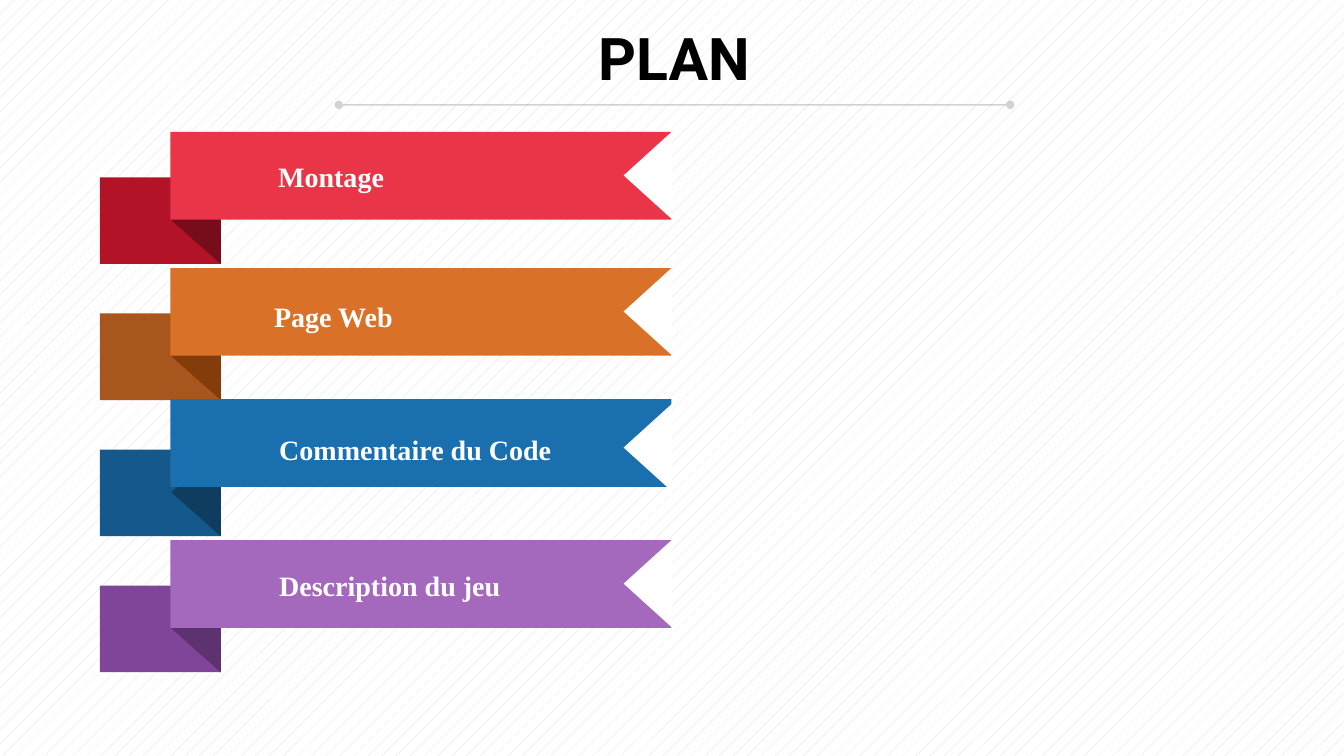
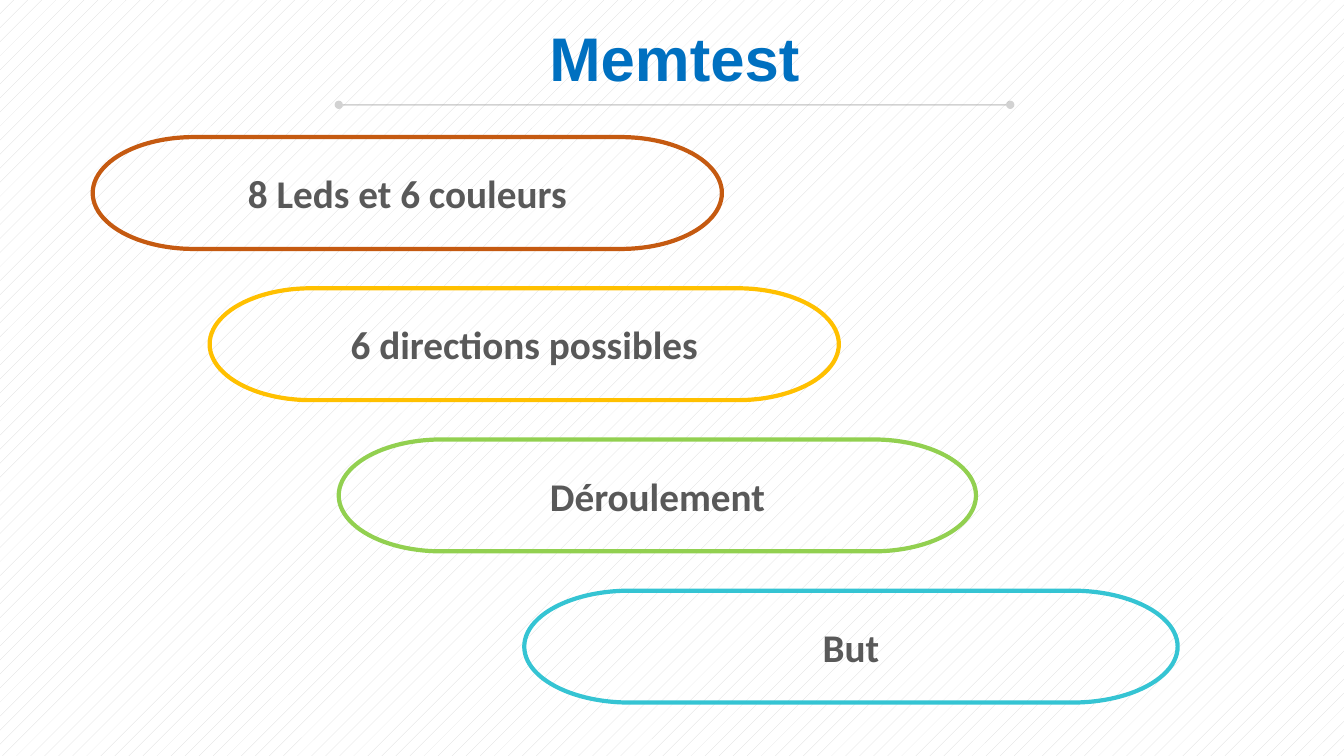
"""Build a plan slide with ribbons and a Memtest slide with stepped pills."""
from dataclasses import dataclass

from lxml.etree import SubElement
from pptx import Presentation
from pptx.dml.color import RGBColor
from pptx.enum.dml import MSO_PATTERN
from pptx.enum.shapes import MSO_CONNECTOR, MSO_SHAPE
from pptx.enum.text import MSO_ANCHOR, PP_ALIGN
from pptx.oxml.ns import qn
from pptx.util import Inches, Pt

WHITE, BLACK, BLUE = "FFFFFF", "000000", "0070C0"
HATCH, RULE, PILL_TEXT = "D9D9D9", "A6A6A6", "595959"
RIBBON_TOP, RIBBON_STEP = 1.76, 1.35
PILL_TOP, PILL_STEP = 1.36, 1.5


@dataclass(frozen=True)
class Title:
    text: str
    font: str
    size: int
    color: str
    left: float
    width: float


@dataclass(frozen=True)
class Ribbon:
    text: str
    band: str
    tail: str
    fold: str
    text_left: float
    text_drop: float
    band_rise: float = 0.45


@dataclass(frozen=True)
class Pill:
    text: str
    outline: str
    left: float
    width: float


PLAN = Title("PLAN", "Roboto", 42, BLACK, 3.48, 6.41)
MEMTEST = Title("Memtest", "Arial", 44, BLUE, 3.04, 7.3)

RIBBONS = [
    Ribbon("Montage", "EA3448", "B31326", "770D1A", 2.66, -0.23),
    Ribbon("Page Web", "D97128", "A8561E", "843C0B", 2.62, -0.19),
    Ribbon("Commentaire du Code", "1A6FAE", "15588B", "0E3D60", 2.67, -0.22, 0.5),
    Ribbon("Description du jeu", "A469BC", "804498", "5D326E", 2.67, -0.22),
]

PILLS = [
    Pill("8 Leds et 6 couleurs", "C55A11", 0.92, 6.24),
    Pill("6 directions possibles", "FFC000", 2.08, 6.24),
    Pill("Déroulement", "92D050", 3.36, 6.32),
    Pill("But", "35C4D3", 5.2, 6.48),
]


def rgb(color: str) -> RGBColor:
    return RGBColor.from_string(color)


def write(frame, text: str, font: str, size: int, color: str, align=PP_ALIGN.LEFT):
    frame.word_wrap = True
    paragraph = frame.paragraphs[0]
    paragraph.alignment = align
    run = paragraph.add_run()
    run.text = text
    run.font.name = font
    run.font.size = Pt(size)
    run.font.bold = True
    run.font.color.rgb = rgb(color)
    return paragraph


def add_solid(shapes, kind, left: float, top: float, width: float, height: float,
              color: str, rotation: float = 0) -> None:
    solid = shapes.add_shape(kind, Inches(left), Inches(top), Inches(width), Inches(height))
    solid.shadow.inherit = False
    solid.fill.solid()
    solid.fill.fore_color.rgb = rgb(color)
    solid.line.fill.background()
    solid.rotation = rotation


def add_rule(shapes) -> None:
    rule = shapes.add_connector(
        MSO_CONNECTOR.STRAIGHT, Inches(3.36), Inches(1.04), Inches(10.02), Inches(1.04))
    rule.line.width = Pt(1)
    rule.line.color.rgb = rgb(RULE)
    properties = rule._element.spPr
    line = properties.find(qn("a:ln"))
    SubElement(line.find(".//" + qn("a:srgbClr")), qn("a:alpha"), val="50000")
    for end in ("a:headEnd", "a:tailEnd"):
        SubElement(line, qn(end), type="oval")
    SubElement(properties, qn("a:effectLst"))


def add_titled_slide(deck, title: Title):
    slide = deck.slides.add_slide(deck.slide_layouts[6])
    backdrop = slide.background.fill
    backdrop.patterned()
    backdrop.pattern = MSO_PATTERN.PERCENT_5
    backdrop.fore_color.rgb = rgb(HATCH)
    backdrop.back_color.rgb = rgb(WHITE)
    heading = slide.shapes.add_textbox(
        Inches(title.left), Inches(0.34), Inches(title.width), Inches(0.54)).text_frame
    heading.vertical_anchor = MSO_ANCHOR.MIDDLE
    paragraph = write(heading, title.text, title.font, title.size, title.color, PP_ALIGN.CENTER)
    paragraph.line_spacing = 0.9
    add_rule(slide.shapes)
    return slide


def add_ribbon(slide, ribbon: Ribbon, top: float) -> None:
    shapes = slide.shapes.add_group_shape().shapes
    triangle = MSO_SHAPE.ISOSCELES_TRIANGLE
    add_solid(shapes, MSO_SHAPE.RECTANGLE, 0.99, top, 1.2, 0.86, ribbon.tail)
    add_solid(shapes, triangle, 1.51, top + 0.18, 0.87, 0.49, ribbon.fold, 270)
    add_solid(shapes, MSO_SHAPE.RECTANGLE, 1.69, top - ribbon.band_rise, 4.97, 0.87, ribbon.band)
    add_solid(shapes, triangle, 5.99, top - 0.26, 0.87, 0.48, WHITE, 270)
    label = shapes.add_textbox(
        Inches(ribbon.text_left), Inches(top + ribbon.text_drop), Inches(3.61), Inches(0.44))
    write(label.text_frame, ribbon.text, "Times New Roman", 20, WHITE)


def add_pill(slide, pill: Pill, top: float) -> None:
    outline = slide.shapes.add_shape(
        MSO_SHAPE.FLOWCHART_TERMINATOR,
        Inches(pill.left), Inches(top), Inches(pill.width), Inches(1.11))
    outline.shadow.inherit = False
    outline.fill.background()
    outline.line.color.rgb = rgb(pill.outline)
    outline.line.width = Pt(3)
    outline.text_frame.vertical_anchor = MSO_ANCHOR.MIDDLE
    write(outline.text_frame, pill.text, "Calibri", 28, PILL_TEXT, PP_ALIGN.CENTER)


def main() -> None:
    deck = Presentation()
    deck.slide_width, deck.slide_height = Inches(13.33), Inches(7.5)
    plan = add_titled_slide(deck, PLAN)
    for row, ribbon in enumerate(RIBBONS):
        add_ribbon(plan, ribbon, RIBBON_TOP + row * RIBBON_STEP)
    memtest = add_titled_slide(deck, MEMTEST)
    for row, pill in enumerate(PILLS):
        add_pill(memtest, pill, PILL_TOP + row * PILL_STEP)
    deck.save("out.pptx")


if __name__ == "__main__":
    main()
